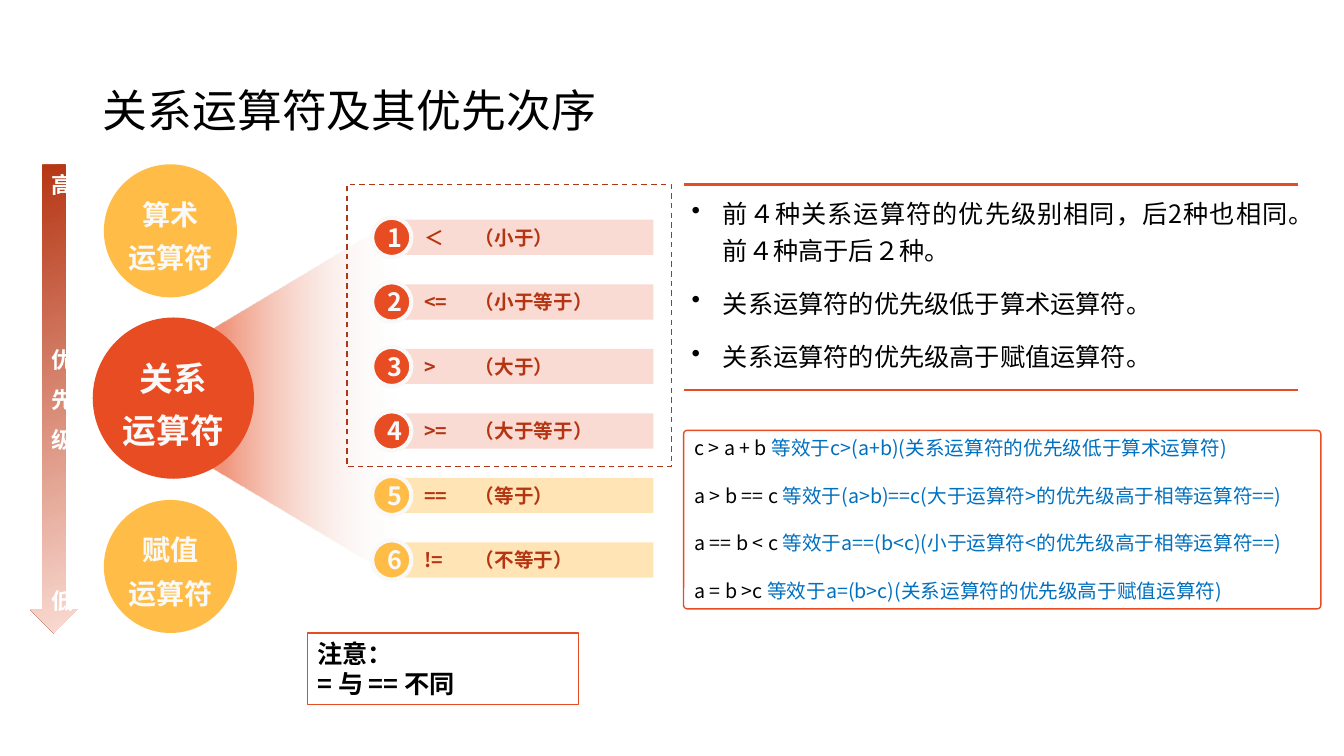
from dataclasses import dataclass

from lxml import etree
from pptx import Presentation
from pptx.dml.color import RGBColor
from pptx.enum.dml import MSO_LINE
from pptx.enum.shapes import MSO_CONNECTOR, MSO_SHAPE
from pptx.enum.text import MSO_ANCHOR, PP_ALIGN
from pptx.oxml.ns import qn
from pptx.util import Inches, Pt

LEFT, CENTER, JUSTIFY = PP_ALIGN.LEFT, PP_ALIGN.CENTER, PP_ALIGN.JUSTIFY
TOP, MIDDLE = MSO_ANCHOR.TOP, MSO_ANCHOR.MIDDLE
RECT, OVAL, ROUNDED = MSO_SHAPE.RECTANGLE, MSO_SHAPE.OVAL, MSO_SHAPE.ROUNDED_RECTANGLE
DOWN_ARROW, STRAIGHT, DASH = MSO_SHAPE.DOWN_ARROW, MSO_CONNECTOR.STRAIGHT, MSO_LINE.DASH


@dataclass(frozen=True)
class Theme:
    font: str = "Noto Sans CJK SC"
    black: str = "000000"
    white: str = "FFFFFF"
    off_white: str = "F9F9F9"
    red: str = "E84C22"
    dark_red: str = "B53513"
    frame_red: str = "AC3819"
    salmon: str = "F1947A"
    pink: str = "FADBD3"
    amber: str = "FFBD47"
    cream: str = "FFE5B5"
    blue: str = "0070C0"
    title: int = 32
    focus: int = 24
    operator: int = 20
    body: int = 18
    scale: int = 16
    small: int = 14


THEME = Theme()


def write(shape, paragraphs, size, color=THEME.black, bold=False, align=LEFT, anchor=TOP,
          insets=(0.1, 0.05, 0.1, 0.05), spacing=None, before=0, after=0, bullet=False):
    """Fill a shape with paragraphs, each a string or a list of (text, colour) runs."""
    frame = shape.text_frame
    frame.word_wrap = True
    frame.vertical_anchor = anchor
    frame.margin_left, frame.margin_top, frame.margin_right, frame.margin_bottom = map(Inches, insets)
    for i, content in enumerate(paragraphs):
        paragraph = frame.paragraphs[0] if i == 0 else frame.add_paragraph()
        paragraph.alignment = align
        if spacing:
            paragraph.line_spacing = spacing
        paragraph.space_before = Pt(before if i else 0)
        paragraph.space_after = Pt(after)
        if bullet:
            properties = paragraph._p.get_or_add_pPr()
            properties.set("marL", str(Inches(0.31)))
            properties.set("indent", str(-Inches(0.31)))
            etree.SubElement(properties, qn("a:buChar")).set("char", "•")
        runs = [(content, color)] if isinstance(content, str) else content
        for text, run_color in runs:
            run = paragraph.add_run()
            run.text = text
            run.font.size = Pt(size)
            run.font.bold = bold
            run.font.color.rgb = RGBColor.from_string(run_color)
            run.font.name = THEME.font
            etree.SubElement(run._r.get_or_add_rPr(), qn("a:ea")).set("typeface", THEME.font)


def paint(shape, fill=None, line=None, width=1):
    shape.shadow.inherit = False
    if fill:
        shape.fill.solid()
        shape.fill.fore_color.rgb = RGBColor.from_string(fill)
    else:
        shape.fill.background()
    if line:
        shape.line.color.rgb = RGBColor.from_string(line)
        shape.line.width = Pt(width)
    else:
        shape.line.fill.background()
    return shape


prs = Presentation()
prs.slide_width, prs.slide_height = Inches(13.33), Inches(7.5)
slide = prs.slides.add_slide(prs.slide_layouts[5])
shapes = slide.shapes

title = shapes.title
title.left, title.top, title.width, title.height = map(Inches, (0.92, 0.4, 11.5, 1.45))
write(title, ["关系运算符及其优先次序"], THEME.title, anchor=MIDDLE, spacing=0.9)

# Fan from the central circle to the operator list
outline = [(1.8, 3.45), (3.92, 2.18), (3.92, 5.73), (1.8, 4.46), (2.02, 3.95)]
points = [(Inches(x), Inches(y)) for x, y in outline]
builder = shapes.build_freeform(*points[0])
builder.add_line_segments(points[1:])
fan = paint(builder.convert_to_shape())

# Operator list
operators = [("＜", "小于"), ("<=", "小于等于"), (">", "大于"),
             (">=", "大于等于"), ("==", "等于"), ("!=", "不等于")]
for i, (symbol, meaning) in enumerate(operators):
    bar_color, badge_color = (THEME.pink, THEME.red) if i < 4 else (THEME.cream, THEME.amber)
    top = 2.18 + 0.64 * i
    bar = paint(shapes.add_shape(RECT, Inches(4.01), Inches(top), Inches(2.47), Inches(0.35)),
                bar_color)
    write(bar, [f"{symbol}\t（{meaning}）"], THEME.small, THEME.dark_red, bold=True,
          anchor=MIDDLE, insets=(0.2, 0.05, 0.1, 0.05))
    badge = paint(shapes.add_shape(OVAL, Inches(3.69), Inches(top - 0.02), Inches(0.39), Inches(0.39)),
                  badge_color, THEME.off_white, 3)
    write(badge, [str(i + 1)], THEME.body, THEME.off_white, bold=True, align=CENTER, anchor=MIDDLE)

# Operator families
families = [("关系", 0.92, 3.15, 1.6, THEME.red, THEME.focus),
            ("算术", 1.03, 1.63, 1.32, THEME.amber, THEME.operator),
            ("赋值", 1.03, 4.96, 1.32, THEME.amber, THEME.operator)]
for name, left, top, diameter, color, size in families:
    family = paint(shapes.add_shape(OVAL, Inches(left), Inches(top), Inches(diameter), Inches(diameter)),
                   color)
    write(family, [name, "运算符"], size, THEME.off_white, bold=True, align=CENTER,
          anchor=MIDDLE, insets=(0, 0, 0, 0), spacing=1.3)

# Priority scale
priority = paint(shapes.add_shape(DOWN_ARROW, Inches(0.3), Inches(1.63), Inches(0.47), Inches(4.65)))
write(priority, ["高", "优先级", "低"], THEME.scale, THEME.white, bold=True, align=CENTER,
      anchor=MIDDLE, before=96)
priority.text_frame.paragraphs[1].line_spacing = 1.5

# Gradients: stops are (position, colour, opacity) in percent
gradients = [(fan, 0, [(0, THEME.salmon, 84), (19, THEME.salmon, 100), (100, THEME.off_white, 0)]),
             (priority, 290, [(0, THEME.dark_red, 100), (100, THEME.pink, 100)])]
for shape, angle, stops in gradients:
    shape.fill.gradient()
    shape.fill.gradient_angle = angle
    stop_list = shape._element.spPr.find(qn("a:gradFill")).find(qn("a:gsLst"))
    for default_stop in list(stop_list):
        stop_list.remove(default_stop)
    for position, color, opacity in stops:
        stop = etree.SubElement(stop_list, qn("a:gs"))
        stop.set("pos", str(position * 1000))
        tint = etree.SubElement(stop, qn("a:srgbClr"))
        tint.set("val", color)
        if opacity < 100:
            etree.SubElement(tint, qn("a:alpha")).set("val", str(opacity * 1000))

# Rules of precedence between two lines
for y in (1.83, 3.87):
    rule = shapes.add_connector(STRAIGHT, Inches(6.78), Inches(y), Inches(12.87), Inches(y))
    rule.line.color.rgb = RGBColor.from_string(THEME.red)
    rule.line.width = Pt(2)
    etree.SubElement(rule._element.spPr, qn("a:effectLst"))
precedence = shapes.add_textbox(Inches(6.78), Inches(1.83), Inches(6.08), Inches(2.05))
write(precedence, ["前４种关系运算符的优先级别相同，后2种也相同。前４种高于后２种。",
                   "关系运算符的优先级低于算术运算符。",
                   "关系运算符的优先级高于赋值运算符。"],
      THEME.body, align=JUSTIFY, insets=(0.08, 0.08, 0.08, 0.08), spacing=1.2,
      before=6, after=6, bullet=True)

# Equivalent expressions
equivalents = [("c > a + b ", "等效于c>(a+b)(关系运算符的优先级低于算术运算符)"),
               ("a > b == c ", "等效于(a>b)==c(大于运算符>的优先级高于相等运算符==)"),
               ("a == b < c ", "等效于a==(b<c)(小于运算符<的优先级高于相等运算符==)"),
               ("a = b >c ", "等效于a=(b>c)(关系运算符的优先级高于赋值运算符)")]
examples = paint(shapes.add_shape(ROUNDED, Inches(6.78), Inches(4.27), Inches(6.32), Inches(1.77)),
                 THEME.white, THEME.red)
examples.adjustments[0] = 0.02
write(examples, [[(code, THEME.black), (meaning, THEME.blue)] for code, meaning in equivalents],
      THEME.small, before=17)

same_priority = paint(shapes.add_shape(RECT, Inches(3.44), Inches(1.83), Inches(3.22), Inches(2.8)),
                      line=THEME.frame_red)
same_priority.line.dash_style = DASH

caution = paint(shapes.add_shape(RECT, Inches(3.05), Inches(6.28), Inches(2.69), Inches(0.71)),
                line=THEME.red, width=0.75)
write(caution, ["注意：", "= 与 == 不同"], THEME.body, bold=True)

prs.save("out.pptx")
